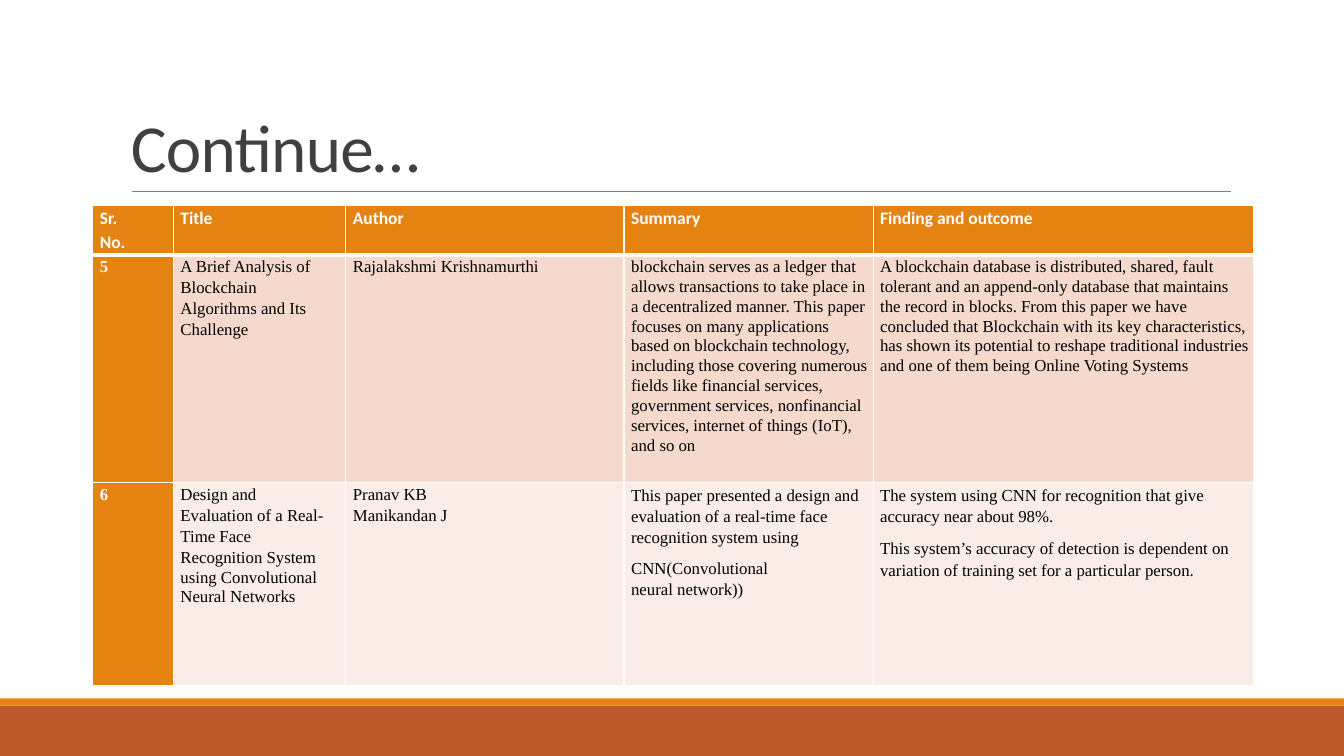
import pptx
import pptx.dml.color
import pptx.enum.shapes
import pptx.enum.text
import pptx.oxml
import pptx.util
from pptx.dml.color import RGBColor
from pptx.util import Inches

WHITE = RGBColor(0xFF, 0xFF, 0xFF)
BLACK = RGBColor(0x00, 0x00, 0x00)
DARK_GREY = RGBColor(0x40, 0x40, 0x40)
GREY = RGBColor(0x80, 0x80, 0x80)
ORANGE = RGBColor(0xE4, 0x83, 0x12)
RUST = RGBColor(0xBD, 0x58, 0x2C)
ROW_TINTS = [RGBColor(0xF5, 0xD9, 0xCC), RGBColor(0xFA, 0xED, 0xE7)]

COLUMN_WIDTHS = [0.8, 1.71, 2.76, 2.47, 3.77]
ROW_HEIGHTS = [0.49, 2.26, 2.01]

# Each cell is a list of blocks: (text, line spacing)
SINGLE = 1.07
LOOSE = 1.14
ROWS = [
    [
        [("Sr.\nNo.", SINGLE)],
        [("Title", SINGLE)],
        [("Author", SINGLE)],
        [("Summary", SINGLE)],
        [("Finding and outcome", SINGLE)],
    ],
    [
        [("5", SINGLE)],
        [("A Brief Analysis of\nBlockchain\nAlgorithms and Its\nChallenge", SINGLE)],
        [("Rajalakshmi Krishnamurthi", SINGLE)],
        [("blockchain serves as a ledger that allows transactions to take place in a "
          "decentralized manner. This paper focuses on many applications based on "
          "blockchain technology, including those covering numerous fields like "
          "financial services, government services, nonfinancial services, internet "
          "of things (IoT), and so on", SINGLE)],
        [("A blockchain database is distributed, shared, fault tolerant and an "
          "append-only database that maintains the record in blocks. From this paper "
          "we have concluded that Blockchain with its key characteristics, has shown "
          "its potential to reshape traditional industries and one of them being "
          "Online Voting Systems", SINGLE)],
    ],
    [
        [("6", SINGLE)],
        [("Design and\nEvaluation of a Real-\nTime Face\n"
          "Recognition System using Convolutional Neural Networks", SINGLE)],
        [("Pranav KB\nManikandan J", SINGLE)],
        [("This paper presented a design and evaluation of a real-time face "
          "recognition system using", LOOSE),
         ("CNN(Convolutional\nneural network))", SINGLE)],
        [("The system using CNN for recognition that give accuracy near about 98%.", LOOSE),
         ("This system’s accuracy of detection is dependent on variation of training "
          "set for a particular person.", LOOSE)],
    ],
]


def write_paragraph(text_frame, text, *, size, font, color, bold=False,
                    line_spacing=1.0, space_after=0):
    """Fill the empty first paragraph, or add one after the existing text."""
    paragraph = text_frame.paragraphs[0]
    if paragraph.runs:
        paragraph = text_frame.add_paragraph()
    paragraph.line_spacing = line_spacing
    paragraph.space_before = pptx.util.Pt(0)
    paragraph.space_after = pptx.util.Pt(space_after)
    run = paragraph.add_run()
    run.text = text
    run.font.size = pptx.util.Pt(size)
    run.font.name = font
    run.font.bold = bold
    run.font.color.rgb = color
    return run


def add_cell_borders(cell, **widths):
    """Draw white borders; widths are in points, keyed L, R, T and B."""
    properties = cell._tc.get_or_add_tcPr()
    for side, width in widths.items():
        properties.append(pptx.oxml.parse_xml(
            '<a:ln%s xmlns:a="http://schemas.openxmlformats.org/drawingml/2006/main" w="%d">'
            '<a:solidFill><a:srgbClr val="%s"/></a:solidFill></a:ln%s>'
            % (side, pptx.util.Pt(width), WHITE, side)))


presentation = pptx.Presentation()
presentation.slide_width = Inches(13.33)
presentation.slide_height = Inches(7.5)
slide = presentation.slides.add_slide(presentation.slide_layouts[6])

# Footer bands
for top, height, color in [(7, 0.5, RUST), (6.93, 0.07, ORANGE)]:
    band = slide.shapes.add_shape(
        pptx.enum.shapes.MSO_SHAPE.RECTANGLE,
        0, Inches(top), presentation.slide_width, Inches(height))
    band.shadow.inherit = False
    band.fill.solid()
    band.fill.fore_color.rgb = color
    band.line.fill.background()

# Title and its rule
title_rule = slide.shapes.add_connector(
    pptx.enum.shapes.MSO_CONNECTOR.STRAIGHT,
    Inches(1.31), Inches(1.9), Inches(12.21), Inches(1.9))
title_rule.line.color.rgb = GREY
title_rule.line.width = pptx.util.Pt(0.5)
title_rule._element.spPr.append(pptx.oxml.parse_xml(
    '<a:effectLst xmlns:a="http://schemas.openxmlformats.org/drawingml/2006/main"/>'))

title_box = slide.shapes.add_textbox(Inches(1.2), Inches(0.31), Inches(11), Inches(1.59))
title_box.text_frame.word_wrap = True
title_box.text_frame.vertical_anchor = pptx.enum.text.MSO_ANCHOR.BOTTOM
title_run = write_paragraph(title_box.text_frame, "Continue…", size=48, font="Calibri",
                            color=DARK_GREY, line_spacing=0.85)
title_run.font._element.set("spc", "-50")

# Literature table
table = slide.shapes.add_table(
    len(ROW_HEIGHTS), len(COLUMN_WIDTHS), Inches(0.92), Inches(2.04),
    Inches(sum(COLUMN_WIDTHS)), Inches(sum(ROW_HEIGHTS))).table
table.horz_banding = False
for column, width in zip(table.columns, COLUMN_WIDTHS):
    column.width = Inches(width)
for row, height in zip(table.rows, ROW_HEIGHTS):
    row.height = Inches(height)

for row_index, row_cells in enumerate(ROWS):
    is_header = row_index == 0
    for column_index, blocks in enumerate(row_cells):
        cell = table.cell(row_index, column_index)
        cell.margin_left, cell.margin_right = Inches(0.07), Inches(0.03)
        cell.margin_top, cell.margin_bottom = Inches(0.01), 0
        add_cell_borders(cell, L=1, R=1, T=3 if row_index == 1 else 1,
                         B=3 if is_header else 1)
        is_heading = is_header or column_index == 0
        cell.fill.solid()
        cell.fill.fore_color.rgb = ORANGE if is_heading else ROW_TINTS[row_index - 1]
        for text, line_spacing in blocks:
            lines = text.split("\n")
            for line_number, line in enumerate(lines, start=1):
                write_paragraph(
                    cell.text_frame, line,
                    size=12.5 if is_header else 12,
                    font="Calibri" if is_header else "Times New Roman",
                    color=WHITE if is_heading else BLACK,
                    bold=is_heading,
                    line_spacing=line_spacing,
                    space_after=8 if line_number == len(lines) else 0.8)

presentation.save("out.pptx")
